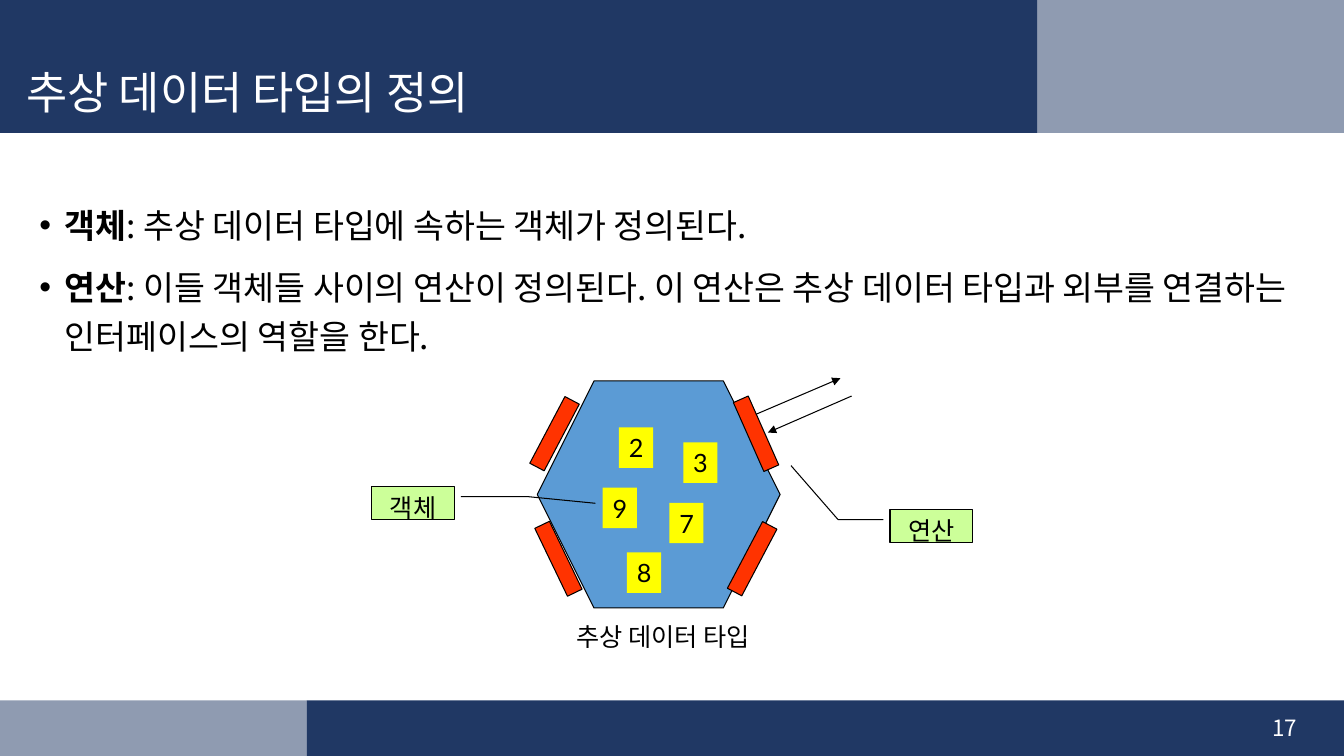
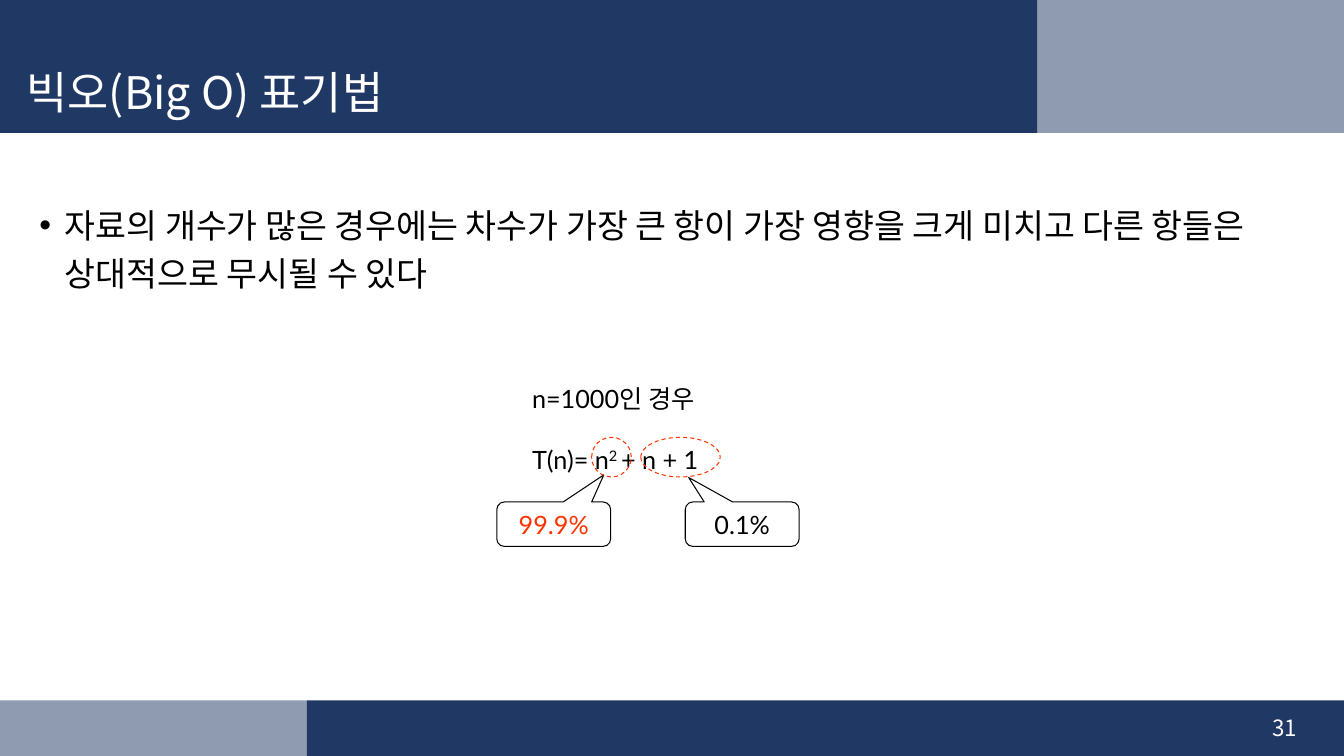
import lxml.etree
import pptx
import pptx.dml.color
import pptx.enum.dml
import pptx.enum.shapes
import pptx.enum.text
import pptx.oxml.ns
import pptx.util

Cm = pptx.util.Cm
Pt = pptx.util.Pt
RGBColor = pptx.dml.color.RGBColor
SHAPE = pptx.enum.shapes.MSO_SHAPE
ALIGN = pptx.enum.text.PP_ALIGN
ANCHOR = pptx.enum.text.MSO_ANCHOR
AUTO_SIZE = pptx.enum.text.MSO_AUTO_SIZE
qn = pptx.oxml.ns.qn

NAVY = RGBColor(0x20, 0x38, 0x64)
WHITE = RGBColor(0xFF, 0xFF, 0xFF)
BLACK = RGBColor(0x00, 0x00, 0x00)
BLUE = RGBColor(0x5B, 0x9B, 0xD5)
YELLOW = RGBColor(0xFF, 0xFF, 0x00)
RED = RGBColor(0xFF, 0x33, 0x00)
GREEN = RGBColor(0xCC, 0xFF, 0x99)
KOREAN = "Noto Sans CJK KR"
LATIN = "Lato"


def add_shape(slide, kind, left, top, width, height, fill=None, line=None):
    shape = slide.shapes.add_shape(kind, Cm(left), Cm(top), Cm(width), Cm(height))
    shape.shadow.inherit = False
    if fill is None:
        shape.fill.background()
    else:
        shape.fill.solid()
        shape.fill.fore_color.rgb = fill
    if line is None:
        shape.line.fill.background()
    else:
        shape.line.color.rgb = line
        shape.line.width = Pt(0.75)
    return shape


def style(paragraph, size, font=KOREAN, colour=BLACK, align=ALIGN.LEFT):
    paragraph.alignment = align
    paragraph.font.size = Pt(size)
    paragraph.font.name = font
    paragraph.font.color.rgb = colour
    # East Asian letters take their font from a separate element
    defaults = paragraph._p.pPr.find(qn("a:defRPr"))
    lxml.etree.SubElement(defaults, qn("a:ea"), typeface=KOREAN)


presentation = pptx.Presentation()
presentation.slide_width = Cm(33.87)
presentation.slide_height = Cm(19.05)

# Shared layout: title and body places
layout = presentation.slide_layouts[1]
PLACES = [(0.41, 1.45, 25.73, 1.88), (0.74, 4.83, 32, 11.71)]
for placeholder, place in zip(layout.placeholders, PLACES):
    placeholder.left, placeholder.top, placeholder.width, placeholder.height = map(Cm, place)

# Each slide: title, page number, bullets as (bold lead, text)
CONTENT = [
    ("추상 데이터 타입의 정의", "17", [
        ("객체", ": 추상 데이터 타입에 속하는 객체가 정의된다."),
        ("연산", ": 이들 객체들 사이의 연산이 정의된다. 이 연산은 추상 데이터 타입과 "
                 "외부를 연결하는 인터페이스의 역할을 한다."),
    ]),
    ("빅오(Big O) 표기법", "31", [
        ("", "자료의 개수가 많은 경우에는 차수가 가장 큰 항이 가장 영향을 크게 미치고 "
             "다른 항들은 상대적으로 무시될 수 있다"),
    ]),
]
slides = []
for title, number, bullets in CONTENT:
    slide = presentation.slides.add_slide(layout)
    slides.append(slide)

    title_frame = slide.shapes.title.text_frame
    title_frame.text = title
    title_frame.auto_size = AUTO_SIZE.NONE
    title_frame.vertical_anchor = ANCHOR.MIDDLE
    title_frame.paragraphs[0].line_spacing = 0.9
    style(title_frame.paragraphs[0], 32, colour=WHITE)

    body_frame = slide.placeholders[1].text_frame
    body_frame.auto_size = AUTO_SIZE.NONE
    for index, (lead, text) in enumerate(bullets):
        paragraph = body_frame.add_paragraph() if index else body_frame.paragraphs[0]
        if lead:
            run = paragraph.add_run()
            run.text = lead
            run.font.bold = True
        paragraph.add_run().text = text
        paragraph.line_spacing = 1.2
        paragraph.space_before = Pt(10)
        style(paragraph, 24)
        paragraph._p.pPr.set("marL", str(Cm(0.64)))
        paragraph._p.pPr.set("indent", str(Cm(-0.64)))

    number_box = slide.shapes.add_textbox(Cm(25.32), Cm(17.83), Cm(7.62), Cm(1.02))
    number_box.text_frame.text = number
    number_box.text_frame.word_wrap = True
    number_box.text_frame.vertical_anchor = ANCHOR.MIDDLE
    style(number_box.text_frame.paragraphs[0], 16, colour=WHITE, align=ALIGN.RIGHT)

definition, big_o = slides

# Bands, moved to the back of the layout so that both slides share them
BANDS = [
    (7.73, 17.65, 26.14, 1.4, False),
    (0, 17.65, 7.73, 1.4, True),
    (0, 0, 26.14, 3.35, False),
    (26.14, 0, 7.73, 3.35, True),
]
for index, (left, top, width, height, pale) in enumerate(BANDS):
    band = add_shape(definition, SHAPE.RECTANGLE, left, top, width, height, NAVY)
    if pale:
        colour = band.element.spPr.find(".//" + qn("a:srgbClr"))
        lxml.etree.SubElement(colour, qn("a:alpha"), val="50000")
    band.element.find(".//" + qn("p:cNvPr")).set("id", str(100 + index))
    layout.shapes.element.insert(2 + index, band.element)

# Abstract data type: hexagon with objects inside
add_shape(definition, SHAPE.HEXAGON, 13.54, 9.6, 6.12, 5.72, BLUE, BLACK)
for digit, left, top in [("2", 15.6, 10.77), ("3", 17.22, 11.15), ("9", 15.19, 12.29),
                         ("7", 16.87, 12.67), ("8", 15.8, 13.92)]:
    item = add_shape(definition, SHAPE.RECTANGLE, left, top, 0.86, 1.02, YELLOW)
    item.text_frame.text = digit
    item.text_frame.word_wrap = False
    item.text_frame.auto_size = AUTO_SIZE.SHAPE_TO_FIT_TEXT
    style(item.text_frame.paragraphs[0], 18, LATIN, align=ALIGN.CENTER)

# Operations: bars on the slanted sides
for left, top, angle in [(18.85, 9.98, 336.1), (18.75, 13.13, 27.8),
                         (13.77, 9.98, 27.8), (13.87, 13.13, 334.3)]:
    bar = add_shape(definition, SHAPE.RECTANGLE, left, top, 0.41, 1.9, RED, BLACK)
    bar.rotation = angle

# Arrows in and out
for points in [(21.46, 9.98, 19.35, 10.9), (19.05, 10.44, 21.18, 9.53)]:
    arrow = definition.shapes.add_connector(
        pptx.enum.shapes.MSO_CONNECTOR.STRAIGHT, *map(Cm, points))
    arrow.line.color.rgb = BLACK
    arrow.line.width = Pt(0.75)
    lxml.etree.SubElement(arrow.line._get_or_add_ln(), qn("a:tailEnd"), type="triangle")
    lxml.etree.SubElement(arrow.element.spPr, qn("a:effectLst"))

# Callouts of both slides
LABEL = (SHAPE.LINE_CALLOUT_2, 2.08, 0.81, GREEN, KOREAN)
BUBBLE = (SHAPE.ROUNDED_RECTANGULAR_CALLOUT, 2.87, 1.12, None, LATIN)
CALLOUTS = [
    (definition, LABEL, "연산", 22.43, 12.85, BLACK,
     (0.3, -0.08, 0.3, -0.63, -1.38, -1.2)),
    (definition, LABEL, "객체", 9.37, 12.27, BLACK,
     (0.3, 1.08, 0.3, 1.88, 0.51, 2.71)),
    (big_o, BUBBLE, "99.9%", 12.52, 12.65, RED, (0.44, -1.11, 0.17)),
    (big_o, BUBBLE, "0.1%", 17.27, 12.65, BLACK, (-0.47, -1.05, 0.17)),
]
for slide, (kind, width, height, fill, font), text, left, top, colour, pointer in CALLOUTS:
    callout = add_shape(slide, kind, left, top, width, height, fill, BLACK)
    for index, value in enumerate(pointer):
        callout.adjustments[index] = value
    callout.text_frame.text = text
    callout.text_frame.vertical_anchor = ANCHOR.TOP
    style(callout.text_frame.paragraphs[0], 18, font, colour, ALIGN.CENTER)

# Caption under the hexagon
caption = definition.shapes.add_textbox(Cm(14.27), Cm(15.52), Cm(5.38), Cm(1.02))
caption.text_frame.text = "추상 데이터 타입"
caption.text_frame.word_wrap = False
style(caption.text_frame.paragraphs[0], 18)

# Formula with its terms ringed
formula = big_o.shapes.add_textbox(Cm(13.16), Cm(9.53), Cm(4.85), Cm(2.51))
formula.text_frame.word_wrap = False
formula.text_frame.text = "n=1000인 경우"
equation = formula.text_frame.add_paragraph()
equation.space_before = Pt(22)
for text, raised in [("T(n)= n", False), ("2 ", True), ("+ n + 1", False)]:
    run = equation.add_run()
    run.text = text
    if raised:
        run._r.get_or_add_rPr().set("baseline", "30000")
for paragraph in formula.text_frame.paragraphs:
    style(paragraph, 18, LATIN)
for left, width in [(14.91, 1), (16.15, 2)]:
    ring = add_shape(big_o, SHAPE.OVAL, left, 11.02, width, 1, line=RED)
    ring.line.dash_style = pptx.enum.dml.MSO_LINE.DASH

presentation.save("out.pptx")
